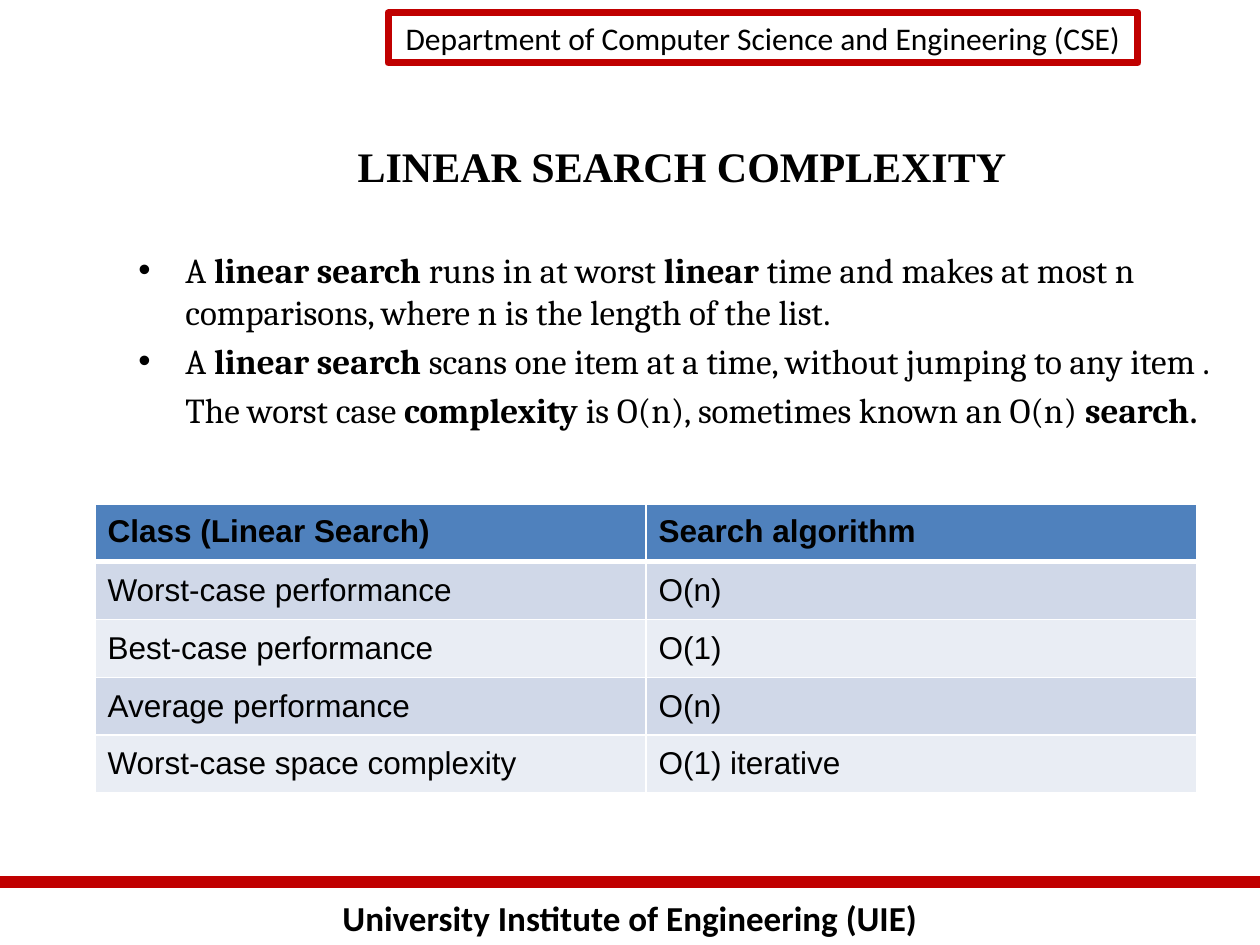
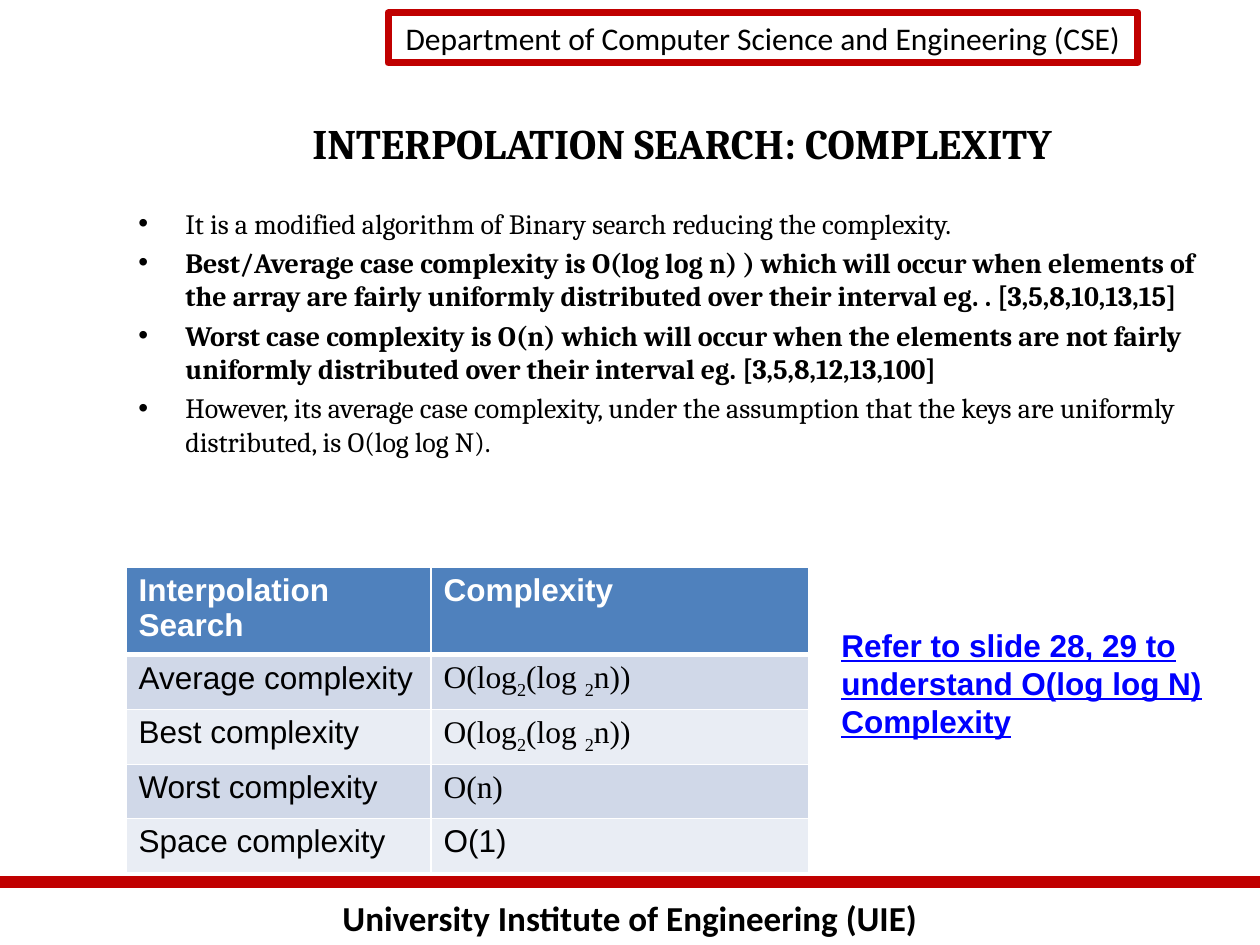
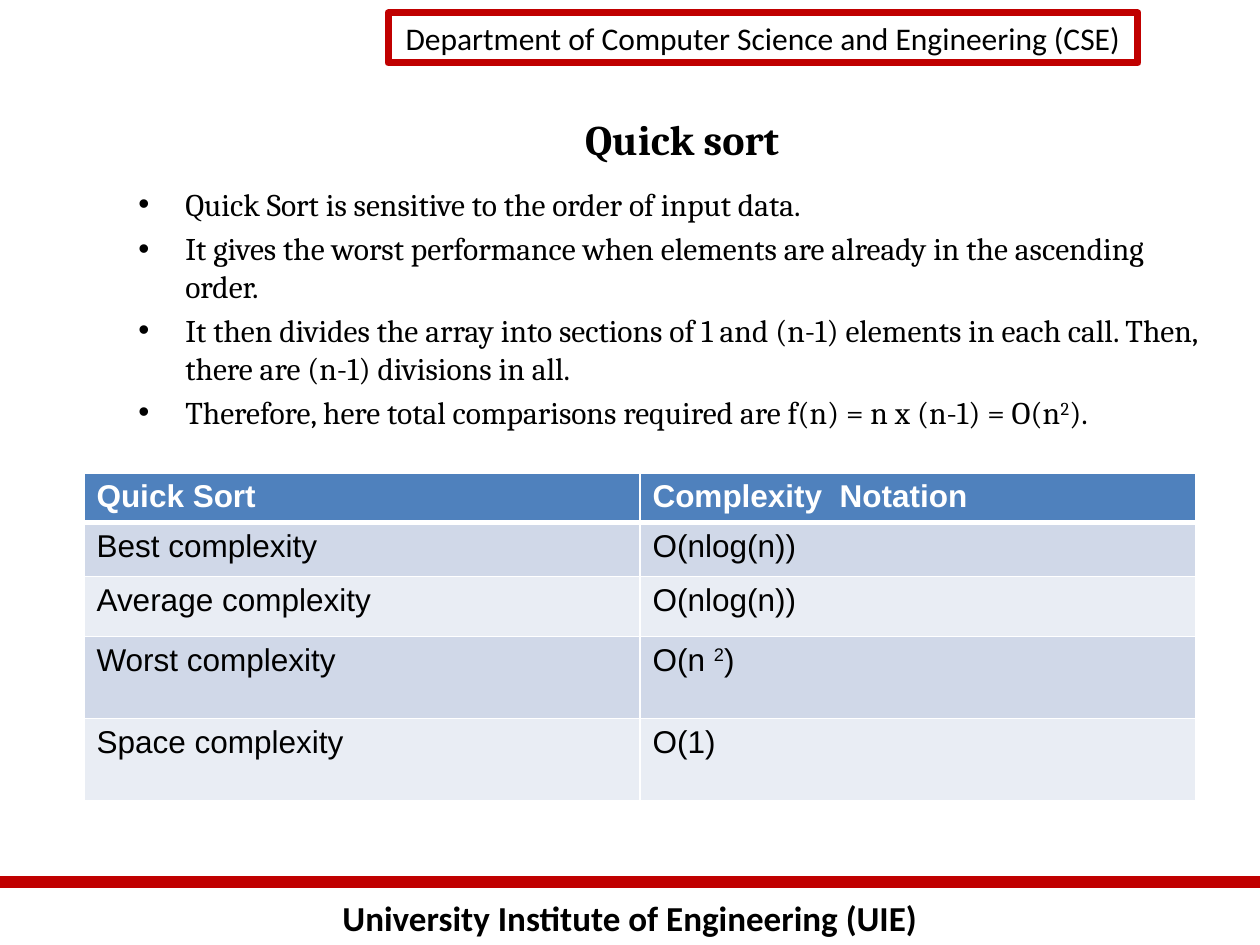
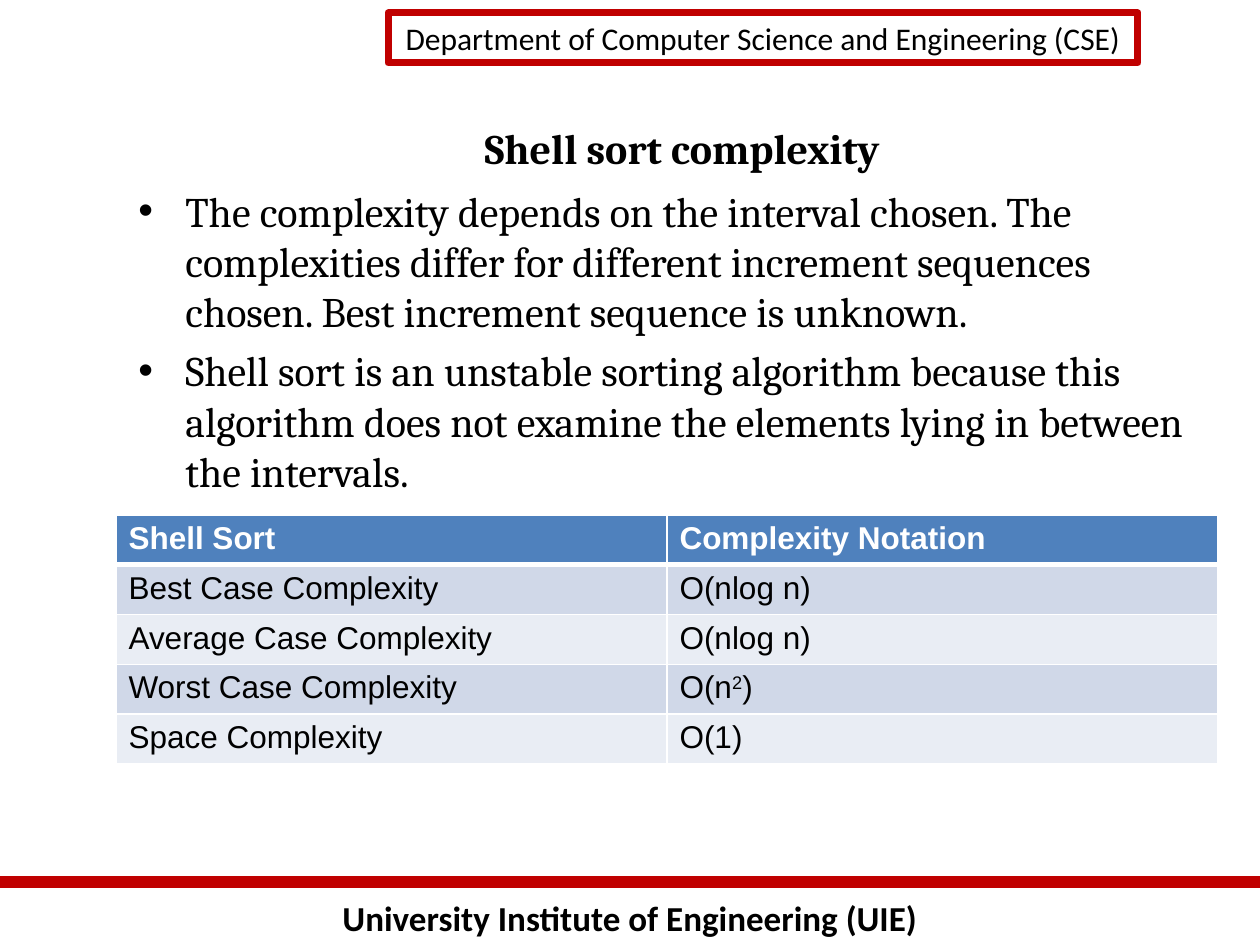
from dataclasses import dataclass, replace
from typing import NamedTuple

from lxml import etree
from pptx import Presentation
from pptx import util as u
from pptx.dml.color import RGBColor
from pptx.enum import shapes, text
from pptx.oxml.ns import qn

# Shared scale, colours and wording
PX_PER_INCH = 126
SLIDE_WIDTH, SLIDE_HEIGHT = 1260, 945
BLACK, WHITE, RED, LINK_BLUE = "000000", "FFFFFF", "C00000", "0000FF"
HEADER_FILL = "4F81BD"
BAND_FILLS = ("D0D8E8", "E9EDF4")
DEPARTMENT = "Department of Computer Science and Engineering (CSE)"
INSTITUTE = "University Institute of Engineering (UIE)"
BULLET_INDENT = 47
BODY_LEFT, BODY_WIDTH, BODY_BOTTOM = 126, 1102, 861
TITLE_LEFT, TITLE_WIDTH = 136, 1092


class Box(NamedTuple):
    left: int
    top: int
    width: int
    height: int


class Run(NamedTuple):
    text: str
    bold: bool = False
    baseline: int = 0
    size: int = 0
    font: str = ""


@dataclass(frozen=True)
class Style:
    font: str
    size: int
    color: str = BLACK
    bold: bool = False
    underline: bool = False


@dataclass(frozen=True)
class ComplexityTable:
    left: int
    top: int
    columns: list[int]
    rows: list[int]
    cells: list[tuple]
    header_color: str = WHITE
    margin: int = 6
    anchor: text.MSO_ANCHOR = text.MSO_ANCHOR.TOP


@dataclass(frozen=True)
class Topic:
    title: str
    title_top: int
    title_height: int
    body_top: int
    body_size: int
    bullets: list
    table: ComplexityTable
    title_font: str = "Cambria"
    note: str = ""


FOOTER_STYLE = Style("Calibri", 20, bold=True)
DEPARTMENT_STYLE = Style("Calibri", 18)
CELL_STYLE = Style("Arial", 18)
NOTE_STYLE = Style("Arial", 18, LINK_BLUE, bold=True, underline=True)


def px(length: float) -> int:
    return round(length * u.Inches(1) / PX_PER_INCH)


def rgb(color: str) -> RGBColor:
    return RGBColor.from_string(color)


# Text helpers
def write(paragraph, content, style: Style) -> None:
    """Write a string or a list of Runs in one style."""
    if isinstance(content, str):
        content = [Run(content)]
    for part in content:
        run = paragraph.add_run()
        run.text = part.text
        run.font.name = part.font or style.font
        run.font.size = u.Pt(part.size or style.size)
        run.font.bold = style.bold or part.bold
        run.font.color.rgb = rgb(style.color)
        if style.underline:
            run.font.underline = True
        if part.baseline:
            run._r.get_or_add_rPr().set("baseline", str(part.baseline * 1000))


def add_text(slide, box: Box, content, style: Style, align=text.PP_ALIGN.LEFT,
             anchor=text.MSO_ANCHOR.TOP):
    shape = slide.shapes.add_textbox(*map(px, box))
    frame = shape.text_frame
    frame.word_wrap = True
    frame.vertical_anchor = anchor
    frame.paragraphs[0].alignment = align
    write(frame.paragraphs[0], content, style)
    return shape


def add_bullets(slide, box: Box, bullets: list, style: Style) -> None:
    frame = slide.shapes.add_textbox(*map(px, box)).text_frame
    frame.word_wrap = True
    for index, content in enumerate(bullets):
        paragraph = frame.add_paragraph() if index else frame.paragraphs[0]
        if index:
            paragraph.space_before = u.Pt(style.size * 0.2)
        properties = paragraph._p.get_or_add_pPr()
        properties.set("marL", str(px(BULLET_INDENT)))
        properties.set("indent", str(-px(BULLET_INDENT)))
        etree.SubElement(properties, qn("a:buFont"), typeface="Arial")
        etree.SubElement(properties, qn("a:buChar"), char="•")
        write(paragraph, content, style)


# Header box, footer rule and footer text
def add_frame(slide) -> None:
    add_text(slide, Box(0, 890, SLIDE_WIDTH, 55), INSTITUTE, FOOTER_STYLE,
             text.PP_ALIGN.CENTER)

    rule = slide.shapes.add_connector(
        shapes.MSO_CONNECTOR.STRAIGHT, 0, px(882), px(SLIDE_WIDTH), px(882))
    rule.line.color.rgb = rgb(RED)
    rule.line.width = u.Pt(7)
    etree.SubElement(rule._element.spPr, qn("a:effectLst"))

    header = slide.shapes.add_shape(
        shapes.MSO_SHAPE.RECTANGLE, *map(px, Box(388, 13, 750, 50)))
    header.shadow.inherit = False
    header.fill.background()
    header.line.color.rgb = rgb(RED)
    header.line.width = u.Pt(4)
    frame = header.text_frame
    frame.word_wrap = False
    frame.vertical_anchor = text.MSO_ANCHOR.TOP
    frame.paragraphs[0].alignment = text.PP_ALIGN.CENTER
    write(frame.paragraphs[0], DEPARTMENT, DEPARTMENT_STYLE)


# Tables
def set_borders(cell, row: int) -> None:
    properties = cell._tc.get_or_add_tcPr()
    widths = {"lnL": 1, "lnR": 1, "lnT": 3 if row == 1 else 1,
              "lnB": 3 if row == 0 else 1}
    for side, width in widths.items():
        line = etree.SubElement(properties, qn(f"a:{side}"), w=str(u.Pt(width)))
        fill = etree.SubElement(line, qn("a:solidFill"))
        etree.SubElement(fill, qn("a:srgbClr"), val=WHITE)


def add_complexity_table(slide, spec_table: ComplexityTable) -> None:
    data = spec_table
    box = Box(data.left, data.top, sum(data.columns), sum(data.rows))
    table = slide.shapes.add_table(
        len(data.rows), len(data.columns), *map(px, box)).table
    for column, width in zip(table.columns, data.columns):
        column.width = px(width)
    header_style = replace(CELL_STYLE, color=data.header_color, bold=True)
    for row, (height, contents) in enumerate(zip(data.rows, data.cells)):
        table.rows[row].height = px(height)
        for column, content in enumerate(contents):
            cell = table.cell(row, column)
            cell.margin_top = cell.margin_bottom = px(data.margin)
            cell.vertical_anchor = data.anchor if row else text.MSO_ANCHOR.TOP
            set_borders(cell, row)
            cell.fill.solid()
            cell.fill.fore_color.rgb = rgb(
                BAND_FILLS[(row - 1) % 2] if row else HEADER_FILL)
            write(cell.text_frame.paragraphs[0], content,
                  CELL_STYLE if row else header_style)


def add_topic(presentation, topic: Topic) -> None:
    slide = presentation.slides.add_slide(presentation.slide_layouts[6])
    add_frame(slide)
    add_text(slide,
             Box(TITLE_LEFT, topic.title_top, TITLE_WIDTH, topic.title_height),
             topic.title, Style(topic.title_font, 24, bold=True),
             text.PP_ALIGN.CENTER, text.MSO_ANCHOR.MIDDLE)
    add_bullets(slide,
                Box(BODY_LEFT, topic.body_top, BODY_WIDTH,
                    BODY_BOTTOM - topic.body_top),
                topic.bullets, Style("Cambria", topic.body_size))
    add_complexity_table(slide, topic.table)
    if topic.note:
        add_text(slide, Box(829, 620, 399, 127), topic.note, NOTE_STYLE)


# Slide contents
SERIF = "Times New Roman"
LOG_LOG = [Run("O(log", font=SERIF), Run("2", baseline=-25, font=SERIF),
           Run("(log ", font=SERIF), Run("2", baseline=-25, font=SERIF),
           Run("n))", font=SERIF)]
SQUARED = Run("2", baseline=30)

TOPICS = [
    Topic(
        "LINEAR SEARCH COMPLEXITY", 124, 84, 242, 20,
        [
            [Run("A "), Run("linear search", True), Run(" runs in at worst "),
             Run("linear", True),
             Run(" time and makes at most n comparisons, where n is the "
                 "length of the list.")],
            [Run("A "), Run("linear search", True),
             Run(" scans one item at a time, without jumping to any item . "
                 "The worst case "),
             Run("complexity", True),
             Run(" is O(n), sometimes known an O(n) "),
             Run("search", True), Run(".", size=24)],
        ],
        ComplexityTable(
            95, 504, [551, 551], [56] * 5,
            [("Class (Linear Search)", "Search algorithm"),
             ("Worst-case performance", "O(n)"),
             ("Best-case performance", "O(1)"),
             ("Average performance", "O(n)"),
             ("Worst-case space complexity", "O(1) iterative")],
            header_color=BLACK, margin=10, anchor=text.MSO_ANCHOR.MIDDLE),
        title_font=SERIF),
    Topic(
        "INTERPOLATION SEARCH: COMPLEXITY", 95, 95, 200, 16,
        [
            "It is a modified algorithm of Binary search reducing the "
            "complexity.",
            [Run("Best/Average case complexity is O(log log n) ) which will "
                 "occur when elements of the array are fairly uniformly "
                 "distributed over their interval eg. . [3,5,8,10,13,15]",
                 True)],
            [Run("Worst case complexity is O(n) which will occur when the "
                 "elements are not fairly uniformly distributed over their "
                 "interval eg. [3,5,8,12,13,100]", True)],
            "However, its average case complexity, under the assumption that "
            "the keys are uniformly distributed, is O(log log N).",
        ],
        ComplexityTable(
            126, 567, [305, 378], [84, 54, 54, 54, 54],
            [("Interpolation Search", "Complexity"),
             ("Average complexity", LOG_LOG),
             ("Best complexity", LOG_LOG),
             ("Worst complexity", [Run("O(n)", font=SERIF)]),
             ("Space complexity", "O(1)")]),
        note="Refer to slide 28, 29 to understand O(log log N) Complexity"),
    Topic(
        "Quick sort", 102, 74, 179, 18,
        [
            "Quick Sort is sensitive to the order of input data.",
            "It gives the worst performance when elements are already in the "
            "ascending order.",
            "It then divides the array into sections of 1 and (n-1) elements "
            "in each call. Then, there are (n-1) divisions in all.",
            [Run("Therefore, here total comparisons required are "
                 "f(n) = n x (n-1) = O(n"), SQUARED, Run(").")],
        ],
        ComplexityTable(
            84, 473, [556, 556], [47, 54, 60, 82, 82],
            [("Quick Sort", "Complexity  Notation"),
             ("Best complexity", "O(nlog(n))"),
             ("Average complexity", "O(nlog(n))"),
             ("Worst complexity", [Run("O(n "), SQUARED, Run(")")]),
             ("Space complexity", "O(1)")])),
    Topic(
        "Shell sort complexity", 95, 105, 179, 24,
        [
            "The complexity depends on the interval chosen. The complexities "
            "differ for different increment sequences chosen. Best increment "
            "sequence is unknown.",
            "Shell sort is an unstable sorting algorithm because this "
            "algorithm does not examine the elements lying in between the "
            "intervals.",
        ],
        ComplexityTable(
            116, 515, [551, 551], [48] * 5,
            [("Shell Sort", "Complexity Notation"),
             ("Best Case Complexity", "O(nlog n)"),
             ("Average Case Complexity", "O(nlog n)"),
             ("Worst Case Complexity", [Run("O(n"), SQUARED, Run(")")]),
             ("Space Complexity", "O(1)")])),
]


def main() -> None:
    presentation = Presentation()
    presentation.slide_width = px(SLIDE_WIDTH)
    presentation.slide_height = px(SLIDE_HEIGHT)
    for topic in TOPICS:
        add_topic(presentation, topic)
    presentation.save("out.pptx")


if __name__ == "__main__":
    main()
